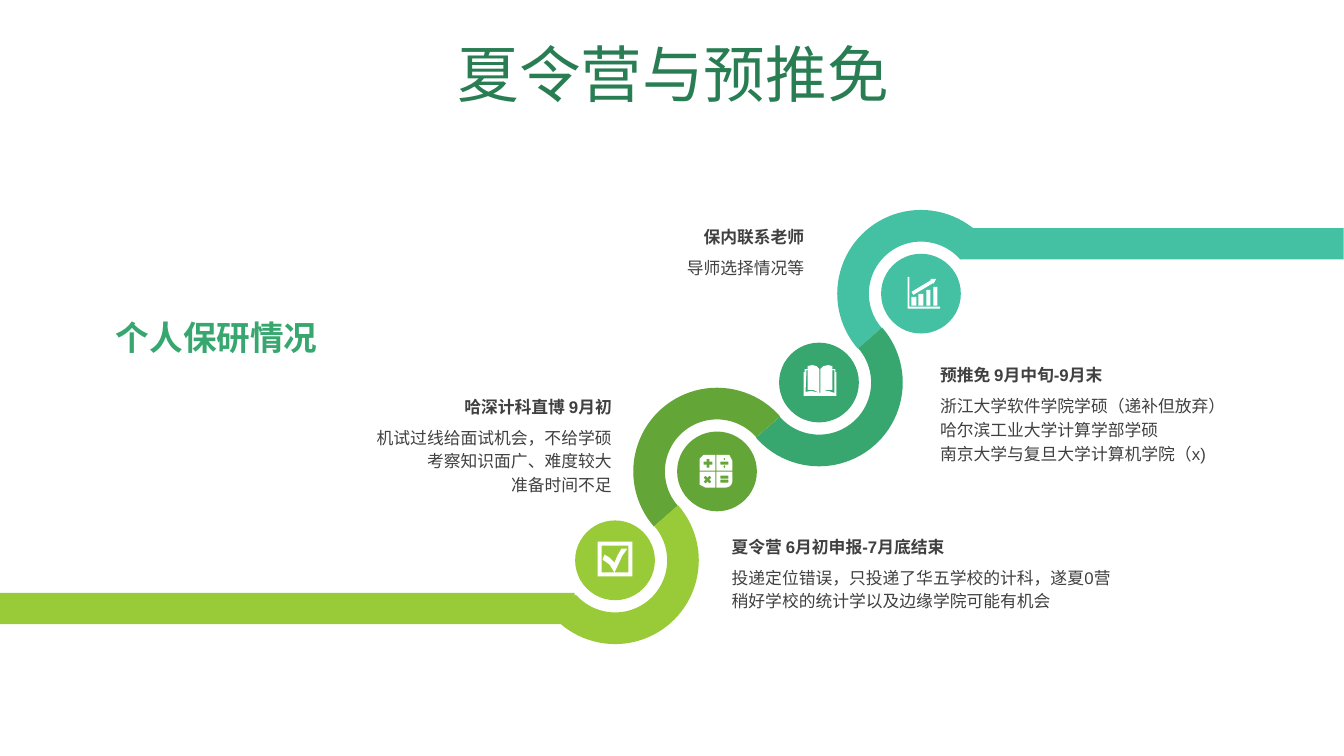
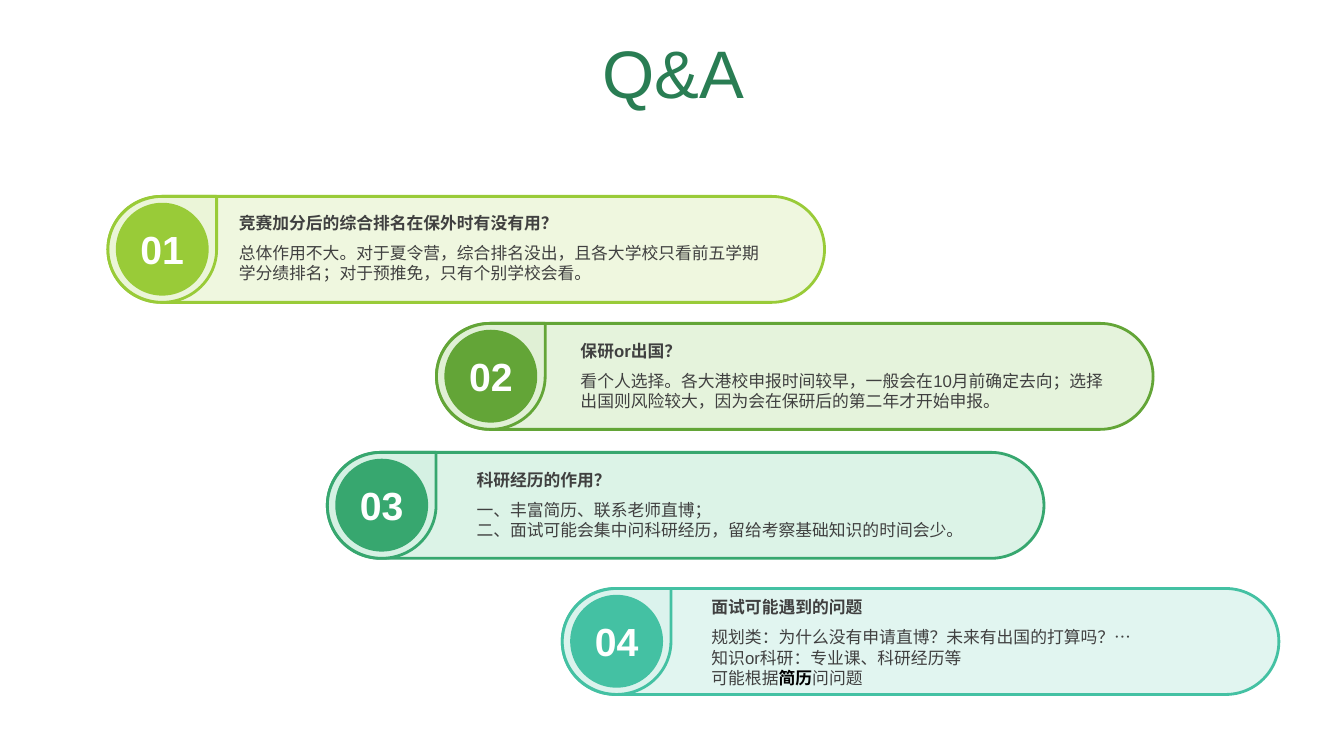
from lxml import etree
from pptx import Presentation
from pptx.dml.color import RGBColor
from pptx.enum.shapes import MSO_SHAPE
from pptx.enum.text import MSO_ANCHOR, PP_ALIGN
from pptx.oxml.ns import qn
from pptx.util import Cm, Pt

RECTANGLE, ELLIPSE = MSO_SHAPE.RECTANGLE, MSO_SHAPE.OVAL
BLOCK_ARC, TEARDROP = MSO_SHAPE.BLOCK_ARC, MSO_SHAPE.TEAR
ROUNDED = MSO_SHAPE.ROUNDED_RECTANGLE
LEFT, CENTER, RIGHT = PP_ALIGN.LEFT, PP_ALIGN.CENTER, PP_ALIGN.RIGHT
TOP, MIDDLE = MSO_ANCHOR.TOP, MSO_ANCHOR.MIDDLE

LIME, GRASS, GREEN, TEAL = "99CB38", "63A537", "37A76F", "44C1A3"
TITLE_COLOR, TEXT_COLOR, WHITE, BLACK = "297D53", "404040", "FFFFFF", "000000"
LATIN, CJK = "Arial", "Noto Sans CJK SC"
ICON_GRID = Cm(1) / 40


def color(hex_string):
    """Turn a hex string into a colour."""
    return RGBColor.from_string(hex_string)


def write(shape, lines, size=12, ink=TEXT_COLOR, bold=False, font=LATIN, align=LEFT,
          anchor=TOP, spacing=None):
    """Fill a shape with lines; a line is a string or a list of (text, ink, bold)."""
    frame = shape.text_frame
    frame.word_wrap = True
    frame.vertical_anchor = anchor
    for index, line in enumerate(lines):
        paragraph = frame.add_paragraph() if index else frame.paragraphs[0]
        paragraph.alignment = align
        paragraph.line_spacing = spacing
        pieces = [(line, ink, bold)] if isinstance(line, str) else line
        for text, piece_ink, piece_bold in pieces:
            run = paragraph.add_run()
            run.text = text
            run.font.size = Pt(size)
            run.font.bold = piece_bold
            run.font.name = font
            run.font.color.rgb = color(piece_ink)
            east_asian = etree.Element(qn("a:ea"), typeface=CJK)
            run.font._element.find(qn("a:latin")).addnext(east_asian)


def add_text(slide, box, lines, **style):
    """Add a text box at (left, top, width, height) in centimetres."""
    write(slide.shapes.add_textbox(*map(Cm, box)), lines, **style)


def paint(shape, fill, line=None, opacity=None):
    """Set the fill, outline and opacity of a shape and drop its shadow."""
    shape.shadow.inherit = False
    shape.fill.solid()
    shape.fill.fore_color.rgb = color(fill)
    if opacity:
        solid = shape._element.spPr.find(qn("a:solidFill"))
        etree.SubElement(solid[0], qn("a:alpha"), val=str(opacity * 1000))
    if line:
        shape.line.color.rgb = color(line)
        shape.line.width = Pt(2)
    else:
        shape.line.fill.background()


def add_shape(slide, kind, box, fill, **style):
    """Add a painted preset shape at a box in centimetres."""
    shape = slide.shapes.add_shape(kind, *map(Cm, box))
    paint(shape, fill, **style)
    return shape


def add_title(slide, text, size, font):
    """Add the centred slide title."""
    add_text(slide, (0.89, 0.94, 32.16, 2.01), [text], size=size, ink=TITLE_COLOR,
             font=font, align=CENTER, anchor=MIDDLE, spacing=0.9)


def rectangle(left, top, right, bottom):
    """Return the corners of a rectangle."""
    return [(left, top), (right, top), (right, bottom), (left, bottom)]


def diamond(x, y, radius):
    """Return the corners of a small dot."""
    return [(x, y - radius), (x + radius, y), (x, y + radius), (x - radius, y)]


def chart_icon():
    """Return the contours of a rising bar chart."""
    bars = [(4, 20, 9), (11, 17, 16), (19, 13, 23), (26, 10, 30)]
    arrow = [(23, 2), (29, 2), (26, 7), (26, 6), (6, 18), (4, 15), (24, 3)]
    axes = [(0, 0), (2, 0), (2, 30), (33, 30), (33, 32), (0, 32)]
    return [rectangle(*bar, 29) for bar in bars] + [arrow, axes]


def calculator_icon():
    """Return the contours of a four-key calculator."""
    key = [(0, 16), (0, 6), (0.5, 3.5), (1.8, 1.8), (3.5, 0.5), (6, 0), (16, 0), (16, 16)]
    keys = [[(33 - x if right else x, 33 - y if low else y) for x, y in key]
            for right in (False, True) for low in (False, True)]
    plus = [(7, 4), (7, 7), (4, 7), (4, 10), (7, 10), (7, 13),
            (10, 13), (10, 10), (13, 10), (13, 7), (10, 7), (10, 4)]
    times = [(6, 21), (4, 23), (6, 25), (4, 27), (6, 29), (8, 27),
             (10, 29), (12, 27), (10, 25), (12, 23), (10, 21), (8, 23)]
    dashes = [rectangle(21, top, 29, top + 3) for top in (7, 21, 25)]
    dots = [diamond(25, y, 1.5) for y in (4.5, 12)]
    return keys + [plus, times] + dashes + dots


def book_icon():
    """Return the contour of an open book."""
    return [[(16, 28), (17, 28), (21, 26), (25, 26), (31, 28), (31, 5), (29, 5),
             (29, 25), (23, 25), (17, 28), (17, 4), (20, 1), (25, 0), (29, 1),
             (29, 4), (32, 4), (32, 7), (33, 7), (33, 31), (0, 31), (0, 7), (1, 7),
             (1, 4), (4, 4), (4, 1), (9, 0), (13, 1), (16, 4), (16, 28), (10, 25),
             (4, 25), (4, 5), (3, 5), (2, 27), (8, 26)]]


def check_icon():
    """Return the contours of a ticked box."""
    tick = [(4, 4), (4, 31), (17, 31), (12, 23), (5, 18), (7, 13), (12, 16), (17, 21),
            (20, 14), (24, 7), (30, 7), (25, 14), (17, 31), (31, 31), (31, 4)]
    return [rectangle(0, 0, 35, 35), tick]


def add_icon(slide, left, top, contours):
    """Draw white contours whose grid starts at (left, top)."""
    builder = slide.shapes.build_freeform(*contours[0][0], scale=ICON_GRID)
    for index, contour in enumerate(contours):
        if index:
            builder.move_to(*contour[0])
        builder.add_line_segments(contour[1:], close=True)
    paint(builder.convert_to_shape(Cm(left), Cm(top)), WHITE)


def add_road(slide, left, top):
    """Draw the winding road from its first bend, centred at (left, top)."""
    step_x, step_y, arc, disc = 2.57, -2.24, 4.22, 2.01
    stops = [(LIME, check_icon(), -0.44, -0.47), (GRASS, calculator_icon(), -0.44, -0.42),
             (GREEN, book_icon(), -0.39, -0.44), (TEAL, chart_icon(), -0.34, -0.42)]
    end_top = top + 3 * step_y - 1.65
    add_shape(slide, RECTANGLE, (24.19, end_top, 9.67, 0.79), TEAL)
    add_shape(slide, RECTANGLE, (0, top + 0.82, 14.48, 0.79), LIME)
    places = [(left + i * step_x, top + i * step_y, *stop) for i, stop in enumerate(stops)]
    for index, (x, y, fill, *_) in reversed(list(enumerate(places))):
        bend = add_shape(slide, BLOCK_ARC, (x - arc / 2, y - arc / 2, arc, arc), fill)
        bend.rotation = 318.9 if index % 2 else 138.9
        for position, value in enumerate((108, 0, 0.189)):
            bend.adjustments[position] = value
    for x, y, fill, contours, icon_x, icon_y in places:
        add_shape(slide, ELLIPSE, (x - disc / 2, y - disc / 2, disc, disc), fill)
        add_icon(slide, x + icon_x, y + icon_y, contours)


def add_note(slide, left, top, width, heading, lines, gap=0.69, **style):
    """Add a bold heading with its lines below."""
    add_text(slide, (left, top, width, 0.76), [heading], bold=True,
             align=style.get("align", LEFT))
    add_text(slide, (left, top + gap, width, 0.8 + 0.6 * (len(lines) - 1)), lines, **style)


def add_card(slide, left, top, number, fill, tint, text_left, text_top, heading, lines):
    """Add one numbered question card at (left, top)."""
    pill = add_shape(slide, ROUNDED, (left, top, 18.06, 2.67), tint, line=fill, opacity=80)
    pill.adjustments[0] = 0.5
    add_shape(slide, TEARDROP, (left, top, 2.74, 2.67), tint, line=fill, opacity=80)
    badge = add_shape(slide, ELLIPSE, (left + 0.2, top + 0.16, 2.34, 2.34), fill)
    frame = badge.text_frame
    frame.margin_left = frame.margin_right = 0
    write(badge, [f"{number:02}"], size=28, ink=WHITE, bold=True, align=CENTER, anchor=MIDDLE)
    add_note(slide, left + text_left, top + text_top, 13.84, heading, lines, gap=0.77)


def build_journey(slide):
    """Build the slide with the winding road."""
    add_title(slide, "夏令营与预推免", 44, CJK)
    add_road(slide, 15.5, 14.12)
    notes = [
        (23.44, 9.07, 7.82, LEFT, "预推免 9月中旬-9月末",
         ["浙江大学软件学院学硕（递补但放弃）", "哈尔滨工业大学计算学部学硕",
          "南京大学与复旦大学计算机学院（x)"]),
        (18.19, 13.39, 10.59, LEFT, "夏令营 6月初申报-7月底结束",
         ["投递定位错误，只投递了华五学校的计科，遂夏0营",
          "稍好学校的统计学以及边缘学院可能有机会"]),
        (12.7, 5.59, 7.82, RIGHT, "保内联系老师", ["导师选择情况等"]),
        (7.85, 9.86, 7.82, RIGHT, "哈深计科直博 9月初",
         ["机试过线给面试机会，不给学硕", "考察知识面广、难度较大", "准备时间不足"]),
    ]
    for left, top, width, align, heading, lines in notes:
        add_note(slide, left, top, width, heading, lines, align=align, spacing=Pt(17))
    add_text(slide, (2.67, 7.87, 12.52, 1.27), ["个人保研情况"], size=24, ink=GREEN,
             bold=True, font=CJK, anchor=MIDDLE)


def build_questions(slide):
    """Build the slide with the question cards."""
    add_title(slide, "Q&A", 48, LATIN)
    cards = [
        (2.72, 4.95, 1, LIME, "EBF5D7", 3.05, 0.28, "竞赛加分后的综合排名在保外时有没有用？",
         ["总体作用不大。对于夏令营，综合排名没出，且各大学校只看前五学期"
          "学分绩排名；对于预推免，只有个别学校会看。"]),
        (11, 8.15, 2, GRASS, "DFF0D4", 3.38, 0.3, "保研or出国？",
         ["看个人选择。各大港校申报时间较早，一般会在10月前确定去向；选"
          "择出国则风险较大，因为会在保研后的第二年才开始申报。"]),
        (8.25, 11.4, 3, GREEN, "D4F1E2", 3.51, 0.3, "科研经历的作用？",
         ["一、丰富简历、联系老师直博；",
          "二、面试可能会集中问科研经历，留给考察基础知识的时间会少。"]),
        (14.17, 14.83, 4, TEAL, "DAF3ED", 3.51, 0.08, "面试可能遇到的问题",
         ["规划类：为什么没有申请直博？未来有出国的打算吗？…",
          "知识or科研：专业课、科研经历等",
          [("可能根据", TEXT_COLOR, False), ("简历", BLACK, True),
           ("问问题", TEXT_COLOR, False)]]),
    ]
    for card in cards:
        add_card(slide, *card)


def main():
    """Build and save the presentation."""
    presentation = Presentation()
    presentation.slide_width, presentation.slide_height = Cm(33.87), Cm(19.05)
    for build in (build_journey, build_questions):
        build(presentation.slides.add_slide(presentation.slide_layouts[6]))
    presentation.save("out.pptx")


if __name__ == "__main__":
    main()
